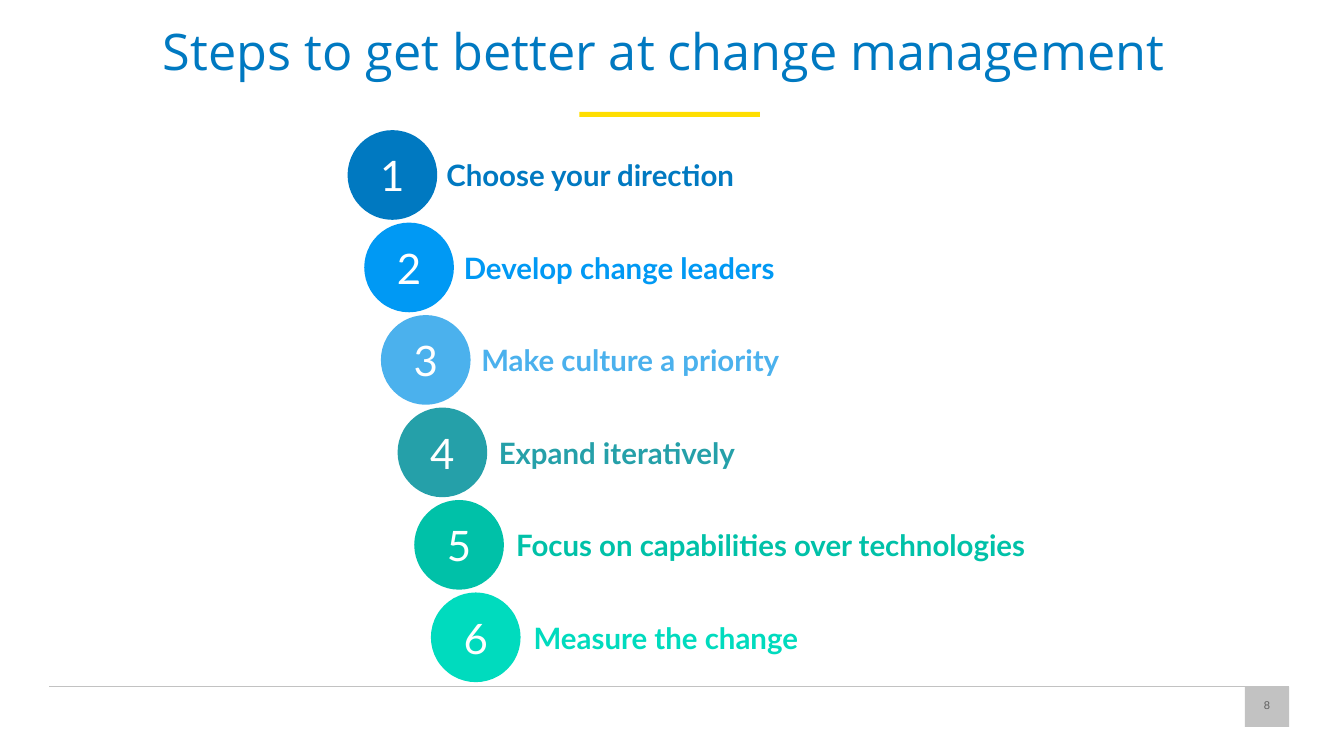
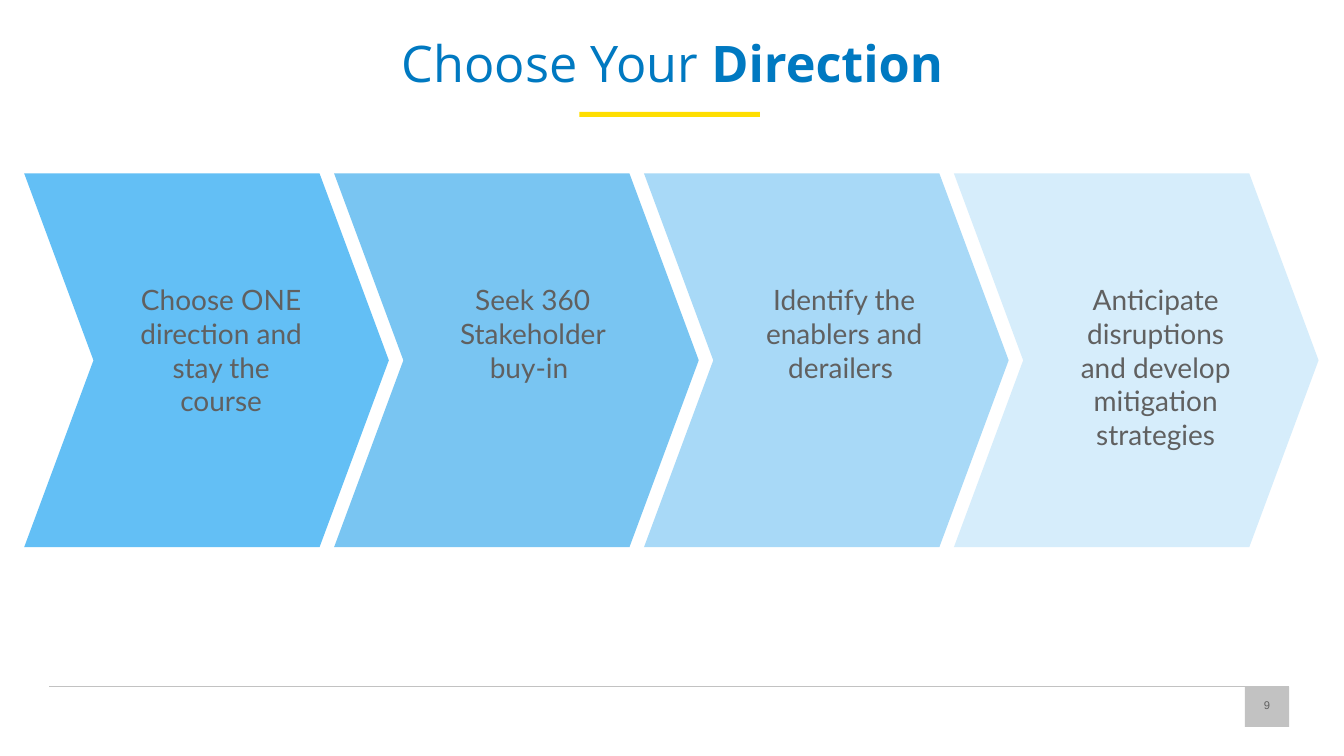
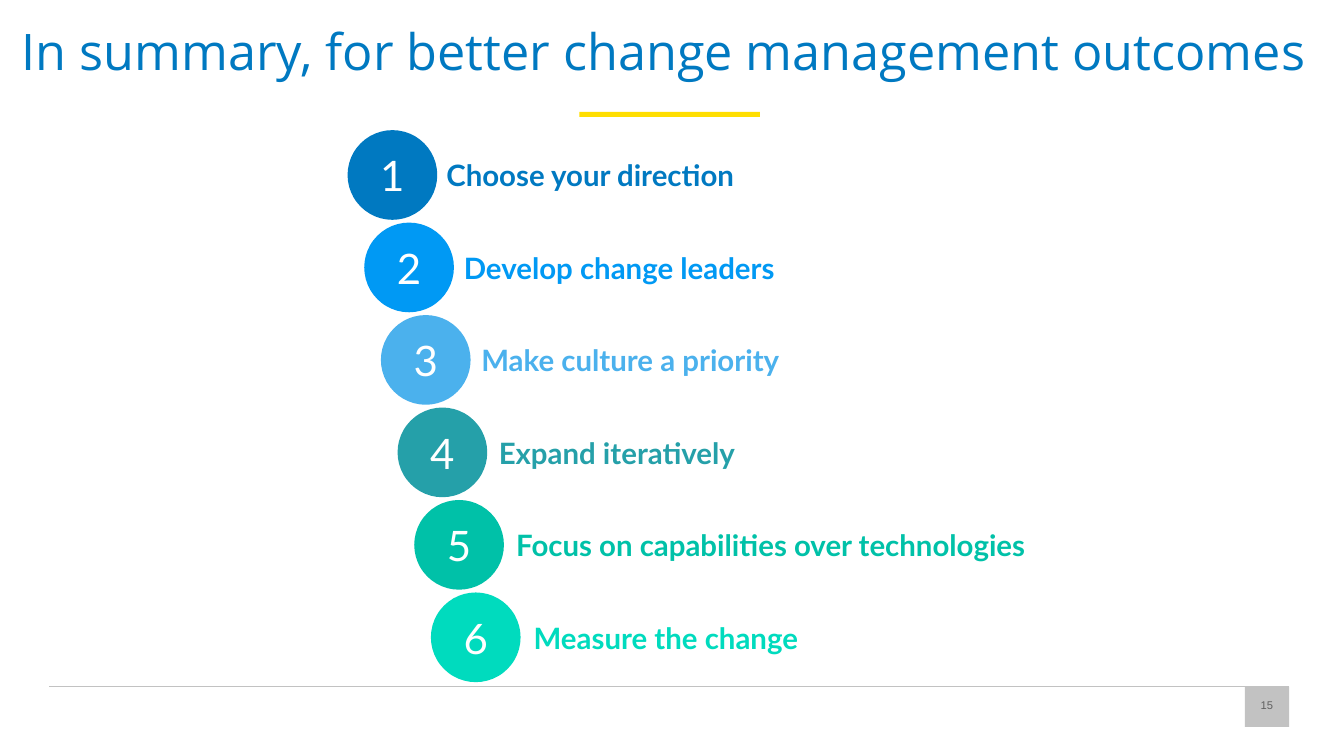
from pptx import Presentation
from pptx.dml.color import RGBColor
from pptx.enum.shapes import MSO_CONNECTOR as CONNECTOR, MSO_SHAPE as SHAPE
from pptx.enum.text import MSO_ANCHOR as ANCHOR, PP_ALIGN as ALIGN
from pptx.oxml.ns import qn
from pptx.util import Cm, Pt
from lxml.etree import SubElement

# Palette
WHITE = RGBColor(0xFF, 0xFF, 0xFF)
BLUE = RGBColor(0x00, 0x79, 0xC1)
YELLOW = RGBColor(0xFF, 0xDE, 0x00)
SILVER = RGBColor(0xC2, 0xC2, 0xC2)
GRAY = RGBColor(0x60, 0x60, 0x60)
AZURE = RGBColor(0x00, 0x99, 0xF4)
SKY = RGBColor(0x4B, 0xB1, 0xED)
TEAL = RGBColor(0x25, 0xA0, 0xA9)
GREEN = RGBColor(0x00, 0xC1, 0xA8)
MINT = RGBColor(0x00, 0xDB, 0xBE)
CHEVRON_FILLS = (
    RGBColor(0x63, 0xBF, 0xF5),
    RGBColor(0x79, 0xC5, 0xF2),
    RGBColor(0xA8, 0xD9, 0xF7),
    RGBColor(0xD6, 0xED, 0xFB),
)

# Content
STEPS = (
    ("Choose your direction", BLUE),
    ("Develop change leaders", AZURE),
    ("Make culture a priority", SKY),
    ("Expand iteratively", TEAL),
    ("Focus on capabilities over technologies", GREEN),
    ("Measure the change", MINT),
)
DIRECTIONS = (
    "Choose ONE direction and stay the course",
    "Seek 360 Stakeholder buy-in ",
    "Identify the enablers and derailers ",
    "Anticipate disruptions and develop mitigation strategies",
)

# Title areas: left, top, width, height in cm
WIDE_TITLE = (0.18, 0.43, 33.1, 2.41)
NARROW_TITLE = (3.51, 0.74, 26.87, 2.41)


class Deck:
    TITLE_FONT, BODY_FONT, NUMBER_FONT = "Open Sans", "Lato", "Arial"
    INSET = Cm(0.25)

    def __init__(self):
        self.presentation = Presentation()
        self.presentation.slide_width = Cm(33.87)
        self.presentation.slide_height = Cm(19.05)
        self.slide = None

    def new_slide(self, number, title_runs, title_area):
        layout = self.presentation.slide_layouts[6]
        self.slide = self.presentation.slides.add_slide(layout)
        # Accent bar and footer
        self.shape(SHAPE.RECTANGLE, (14.6, 2.82, 4.55, 0.13), YELLOW)
        self.line(1.24, 17.3, 32.49, 17.3)
        badge = self.shape(SHAPE.RECTANGLE, (31.37, 17.3, 1.12, 1.02), SILVER)
        self.fill_text(badge, (str(number),), 8, GRAY, self.NUMBER_FONT,
                       ALIGN.CENTER, ANCHOR.MIDDLE)
        badge.text_frame.margin_top = Cm(0.13)
        badge.text_frame.margin_bottom = Cm(0.23)
        # Title: the second run, if any, is bold
        title = self.text(title_area, title_runs, 36, BLUE, self.TITLE_FONT, ALIGN.CENTER)
        paragraph = title.text_frame.paragraphs[0]
        paragraph.line_spacing = 0.9
        for run in paragraph.runs[1:]:
            run.font.bold = True

    def shape(self, kind, area, fill):
        shape = self.slide.shapes.add_shape(kind, *map(Cm, area))
        shape.shadow.inherit = False
        shape.fill.solid()
        shape.fill.fore_color.rgb = fill
        shape.line.fill.background()
        return shape

    def line(self, x1, y1, x2, y2):
        line = self.slide.shapes.add_connector(
            CONNECTOR.STRAIGHT, Cm(x1), Cm(y1), Cm(x2), Cm(y2))
        line.line.color.rgb = SILVER
        line.line.width = Pt(0.75)
        SubElement(line._element.spPr, qn("a:effectLst"))

    def text(self, area, *style, **options):
        box = self.slide.shapes.add_textbox(*map(Cm, area))
        self.fill_text(box, *style, **options)
        return box

    def fill_text(self, shape, texts, size, color, font, align,
                  anchor=ANCHOR.TOP, bold=False):
        frame = shape.text_frame
        frame.word_wrap = True
        frame.vertical_anchor = anchor
        frame.margin_left = frame.margin_right = self.INSET
        frame.margin_top = frame.margin_bottom = self.INSET
        paragraph = frame.paragraphs[0]
        paragraph.alignment = align
        for text in texts:
            run = paragraph.add_run()
            run.text = text
            run.font.name = font
            run.font.size = Pt(size)
            run.font.bold = bold
            run.font.color.rgb = color

    def step_list(self):
        size, right_edge = 2.26, 33.17
        for index, (label, color) in enumerate(STEPS):
            top = 3.28 + 2.33 * index
            circle = self.shape(SHAPE.OVAL, (8.76 + 0.42 * index, top, size, size), color)
            self.fill_text(circle, (str(index + 1),), 30, WHITE, self.BODY_FONT,
                           ALIGN.CENTER, ANCHOR.MIDDLE)
            left = 11 + 0.44 * index
            self.text((left, top, right_edge - left, size), (label,), 21, color,
                      self.BODY_FONT, ALIGN.LEFT, ANCHOR.MIDDLE, bold=True)

    def chevron_row(self):
        for index, fill in enumerate(CHEVRON_FILLS):
            chevron = self.shape(SHAPE.CHEVRON, (0.61 + 7.81 * index, 4.37, 9.19, 9.42), fill)
            chevron.adjustments[0] = 0.19
        for index, label in enumerate(DIRECTIONS):
            self.text((3.2 + 7.85 * index, 6.88, 4.75, 4.09), (label,), 20, GRAY,
                      self.BODY_FONT, ALIGN.CENTER)


def main():
    deck = Deck()

    # Steps
    deck.new_slide(8, ("Steps to get better at change management",), WIDE_TITLE)
    deck.step_list()

    # Direction
    deck.new_slide(9, ("Choose Your ", "Direction"), NARROW_TITLE)
    deck.chevron_row()

    # Summary
    deck.new_slide(15, ("In summary, for better change management outcomes",), WIDE_TITLE)
    deck.step_list()

    deck.presentation.save("out.pptx")


if __name__ == "__main__":
    main()
